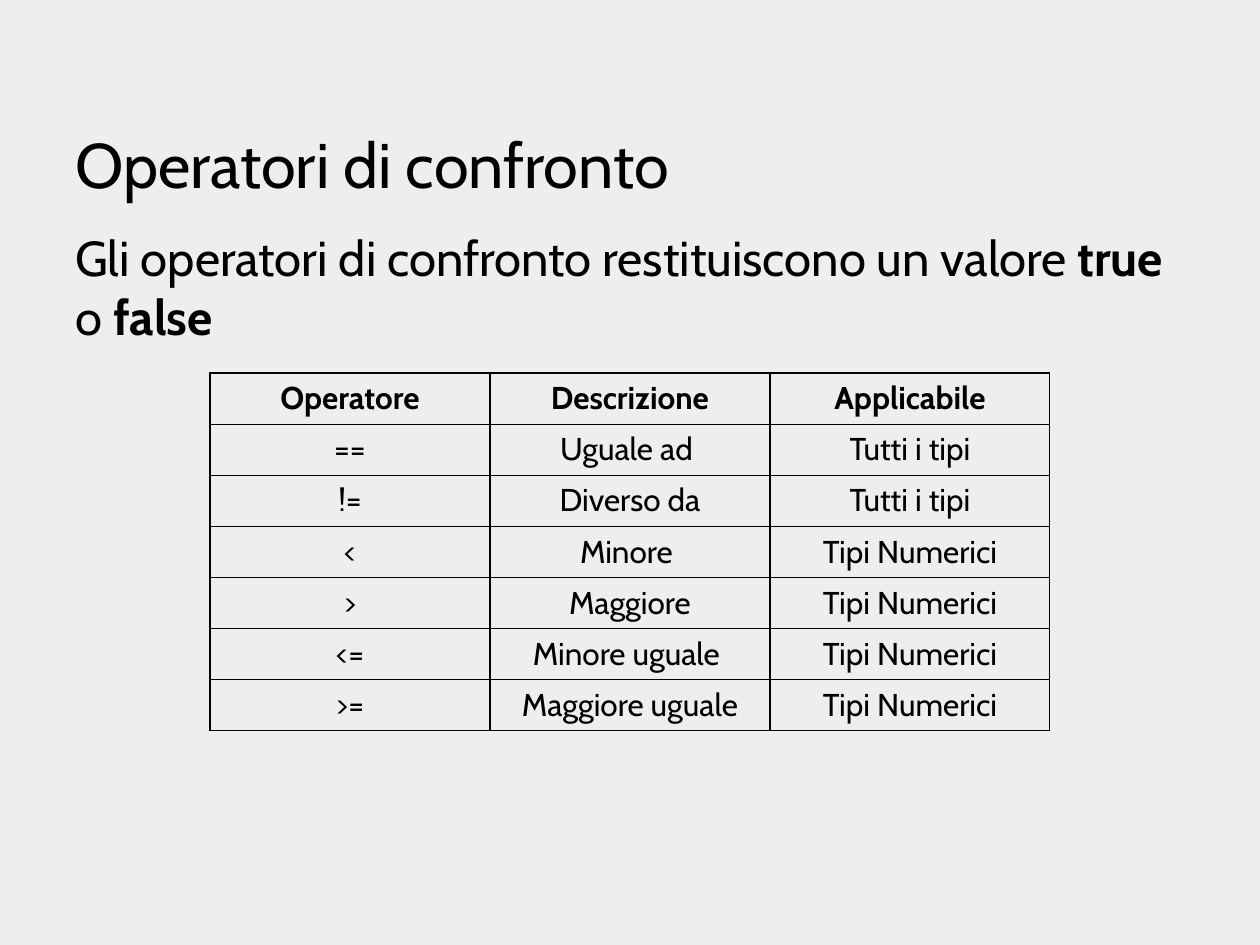
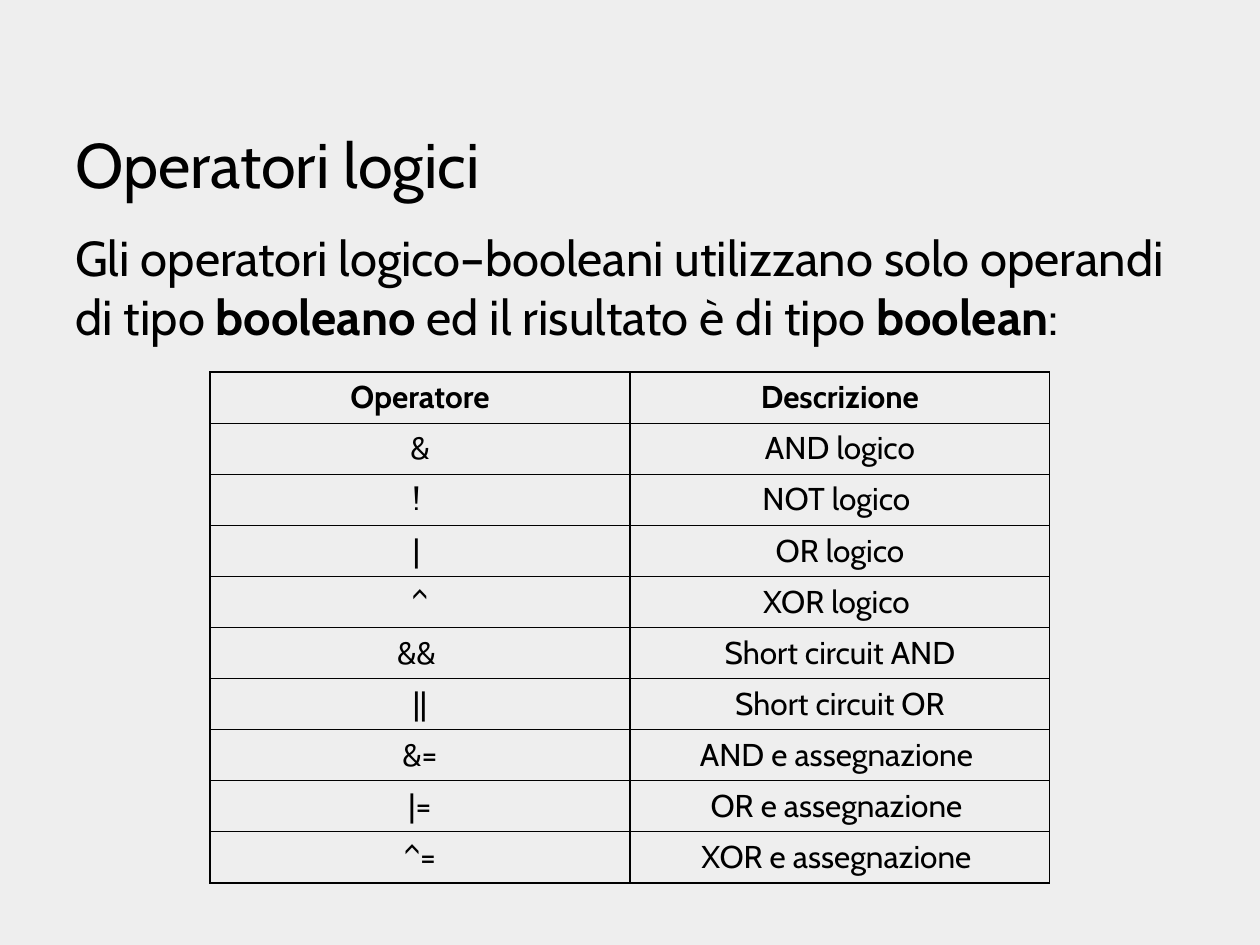
from lxml import etree
from pptx import Presentation
from pptx.dml.color import RGBColor
from pptx.enum.text import MSO_ANCHOR, MSO_AUTO_SIZE, PP_ALIGN
from pptx.oxml.ns import qn
from pptx.util import Pt

LEFT, CENTER = PP_ALIGN.LEFT, PP_ALIGN.CENTER
TOP, BOTTOM = MSO_ANCHOR.TOP, MSO_ANCHOR.BOTTOM
NO_AUTOFIT = MSO_AUTO_SIZE.NONE

# Content: intro texts are (text, bold) runs, the first table row is the header
SLIDES = [
    {
        "title": "Operatori di confronto",
        "intro": [
            ("Gli operatori di confronto restituiscono un valore ", False),
            ("true", True),
            (" o ", False),
            ("false", True),
        ],
        "table_top": 373,
        "rows": [
            ("Operatore", "Descrizione", "Applicabile"),
            ("==", "Uguale ad ", "Tutti i tipi"),
            ("!=", "Diverso da", "Tutti i tipi"),
            ("<", "Minore ", "Tipi Numerici"),
            (">", "Maggiore", "Tipi Numerici"),
            ("<=", "Minore uguale ", "Tipi Numerici"),
            (">=", "Maggiore uguale", "Tipi Numerici"),
        ],
    },
    {
        "title": "Operatori logici",
        "intro": [
            ("Gli operatori logico–booleani utilizzano solo operandi di tipo ", False),
            ("booleano", True),
            (" ed il risultato è di tipo ", False),
            ("boolean", True),
            (":", False),
        ],
        "table_top": 372,
        "rows": [
            ("Operatore", "Descrizione"),
            ("&", "AND logico"),
            ("! ", "NOT logico "),
            ("| ", "OR logico"),
            ("^", "XOR logico "),
            ("&& ", "Short circuit AND"),
            ("||", "Short circuit OR"),
            ("&=", "AND e assegnazione "),
            ("|=", "OR e assegnazione "),
            ("^=", "XOR e assegnazione "),
        ],
    },
]

# Shared style and places, in px
COLORS = {"background": "EEEEEE", "text": "000000", "border": "000000"}
FONT = "Cabin"
TITLE_SIZE, INTRO_SIZE, CELL_SIZE = 36, 28, 18
BORDER_WIDTH = Pt(0.75)
EMU_PER_PX = 914400 // 126
SLIDE_SIZE = (1260, 945)
TITLE_BOX = (63, 49, 1134, 158)
INTRO_BOX = (63, 221, 1134, 624)
TABLE_LEFT, TABLE_WIDTH, ROW_HEIGHT = 210, 840, 51
TITLE_ONLY = 5


def px(length):
    return length * EMU_PER_PX


def place(shape, box):
    shape.left, shape.top, shape.width, shape.height = map(px, box)


def write(text_frame, runs, size, alignment):
    paragraph = text_frame.paragraphs[0]
    paragraph.alignment = alignment
    for text, bold in runs:
        run = paragraph.add_run()
        run.text = text
        run.font.name = FONT
        run.font.size = Pt(size)
        run.font.bold = bold
        run.font.color.rgb = RGBColor.from_string(COLORS["text"])


def fill_text_box(shape, box, runs, size, anchor):
    place(shape, box)
    text_frame = shape.text_frame
    text_frame.word_wrap = True
    text_frame.auto_size = NO_AUTOFIT
    text_frame.vertical_anchor = anchor
    write(text_frame, runs, size, LEFT)


def add_borders(cell):
    properties = cell._tc.get_or_add_tcPr()
    for side in ("a:lnL", "a:lnR", "a:lnT", "a:lnB"):
        line = etree.SubElement(properties, qn(side), w=str(BORDER_WIDTH))
        fill = etree.SubElement(line, qn("a:solidFill"))
        etree.SubElement(fill, qn("a:srgbClr"), val=COLORS["border"])


def add_operator_table(slide, rows, top):
    column_count = len(rows[0])
    table = slide.shapes.add_table(
        len(rows), column_count, px(TABLE_LEFT), px(top),
        px(TABLE_WIDTH), px(ROW_HEIGHT * len(rows)),
    ).table
    table.first_row = table.horz_banding = False
    for column in table.columns:
        column.width = px(TABLE_WIDTH // column_count)
    for row_index, row in enumerate(rows):
        table.rows[row_index].height = px(ROW_HEIGHT)
        for column_index, text in enumerate(row):
            cell = table.cell(row_index, column_index)
            add_borders(cell)
            cell.fill.background()
            write(cell.text_frame, [(text, row_index == 0)], CELL_SIZE, CENTER)


def add_operator_slide(presentation, content):
    slide = presentation.slides.add_slide(presentation.slide_layouts[TITLE_ONLY])
    fill_text_box(slide.shapes.title, TITLE_BOX, [(content["title"], False)],
                  TITLE_SIZE, BOTTOM)
    intro = slide.shapes.add_textbox(0, 0, 0, 0)
    fill_text_box(intro, INTRO_BOX, content["intro"], INTRO_SIZE, TOP)
    add_operator_table(slide, content["rows"], content["table_top"])


def main():
    presentation = Presentation()
    presentation.slide_width, presentation.slide_height = map(px, SLIDE_SIZE)
    # One background for all slides
    background = presentation.slide_master.background.fill
    background.solid()
    background.fore_color.rgb = RGBColor.from_string(COLORS["background"])
    for content in SLIDES:
        add_operator_slide(presentation, content)
    presentation.save("out.pptx")


if __name__ == "__main__":
    main()
